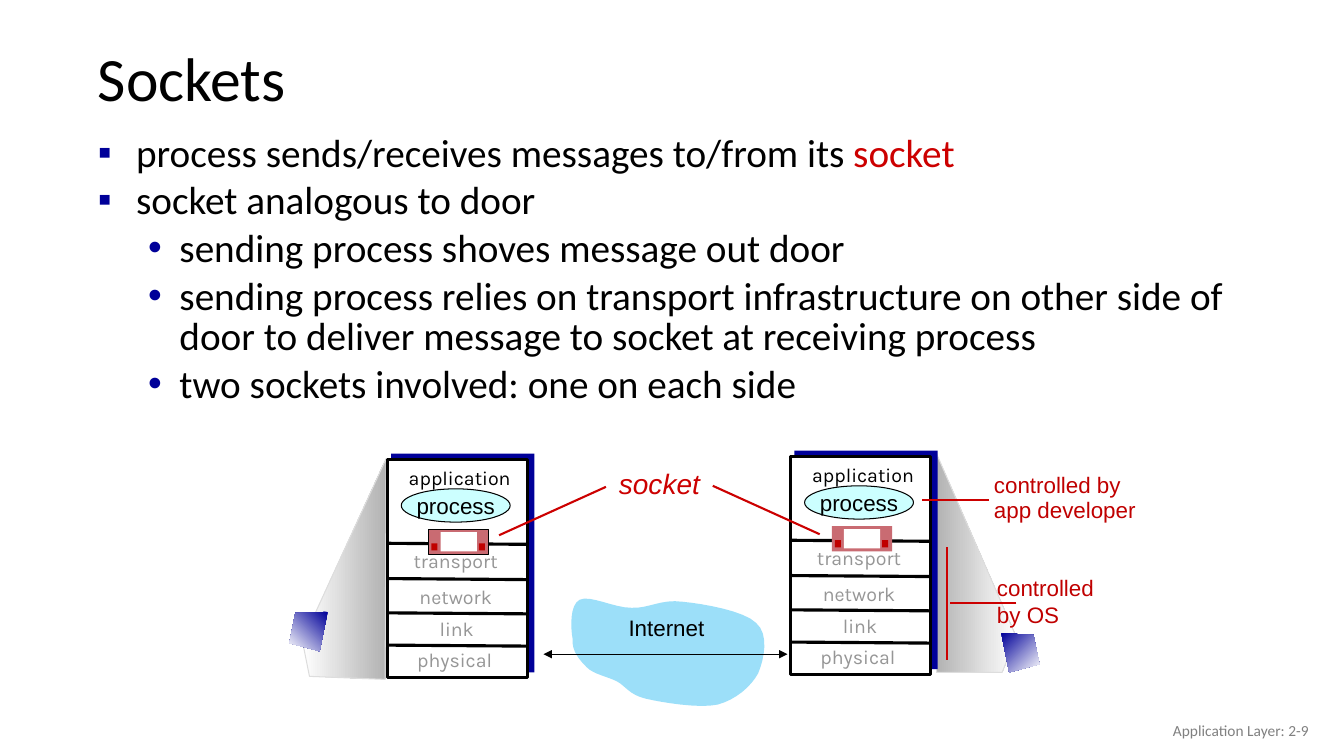
"""Build the Sockets slide: bullets above two hosts joined through the Internet."""
from lxml import etree
from pptx import Presentation
from pptx import util as u
from pptx.dml.color import RGBColor
from pptx.enum import shapes, text
from pptx.oxml.ns import qn

PX = 9144
BLACK, WHITE, GREY, NAVY = "000000", "FFFFFF", "969696", "000099"
RED, DARK_RED, ROSE = "CC0000", "C00000", "C96B72"
LEFT, CENTER, RIGHT = text.PP_ALIGN.LEFT, text.PP_ALIGN.CENTER, text.PP_ALIGN.RIGHT
RECTANGLE, OVAL = shapes.MSO_SHAPE.RECTANGLE, shapes.MSO_SHAPE.OVAL

BULLETS = [
    (0, [("process sends/receives messages to/from its ", BLACK), ("socket", RED)]),
    (0, [("socket analogous to door", BLACK)]),
    (1, [("sending process shoves message out door", BLACK)]),
    (1, [("sending process relies on transport infrastructure on other side of "
          "door to deliver message to socket at receiving process", BLACK)]),
    (1, [("two sockets involved: one on each side", BLACK)]),
]
BULLET_STYLES = [("▪", 38, 38), ("•", 81, 31)]
HOSTS = [(384, 456, BLACK), (784, 453, None)]
LAYERS = [("application", 0, -1, BLACK), ("transport", -4, 81, GREY),
          ("network", -4, 117, GREY), ("link", -3, 149, GREY), ("physical", -5, 180, GREY)]
LAYER_LINES = [83, 118, 152, 184]
BEAMS = [
    ([(300, 636), (383, 455), (382, 674), (307, 671)], WHITE, "B2B2B2"),
    ([(1008, 632), (928, 448), (929, 667), (994, 667)], "B2B2B2", WHITE),
]
LAPTOPS = [
    ([(325, 607), (293, 608), (287, 638), (317, 646)], 225),
    ([(993, 628), (1025, 630), (1031, 659), (1001, 667)], 315),
]
CLOUD_START = (568, 634)
CLOUD_CURVES = [
    ((566, 623), (565, 600), (575, 595)), ((585, 590), (609, 603), (626, 603)),
    ((643, 604), (656, 594), (677, 597)), ((698, 599), (738, 606), (750, 618)),
    ((763, 629), (758, 654), (752, 668)), ((745, 681), (730, 694), (712, 699)),
    ((693, 703), (657, 697), (640, 693)), ((624, 689), (621, 681), (612, 676)),
    ((602, 671), (589, 669), (582, 662)), ((575, 655), (567, 646), (568, 634)),
]
RED_LINES = [(981, 496, 914, 496), (939, 543, 939, 655), (1008, 598, 942, 598),
             (495, 531, 601, 483), (813, 530, 707, 482)]
NOTES = [
    ((979, 565, 116, 90), ["controlled", "by OS"], 16, DARK_RED, 1, False),
    ((976, 466, 161, 58), ["controlled by", "app developer"], 16, DARK_RED, 0.9, False),
    ((604, 462, 104, 40), ["socket"], 20, RED, 0.9, True),
]


def color(value):
    return RGBColor.from_string(value)


def px(*values):
    return [u.Emu(round(value * PX)) for value in values]


def add_run(paragraph, words, size, font, tint, italic=False):
    run = paragraph.add_run()
    run.text = words
    run.font.size, run.font.name, run.font.italic = u.Pt(size), font, italic
    run.font.color.rgb = color(tint)


def add_text(box, lines, size, font, tint, align=LEFT, spacing=1, wrap=False,
             italic=False, anchor=text.MSO_ANCHOR.TOP):
    label = slide.shapes.add_textbox(*px(*box))
    frame = label.text_frame
    frame.word_wrap, frame.vertical_anchor = wrap, anchor
    for index, line in enumerate(lines):
        paragraph = frame.add_paragraph() if index else frame.paragraphs[0]
        paragraph.alignment, paragraph.line_spacing = align, spacing
        add_run(paragraph, line, size, font, tint, italic)


def set_line(shape, tint, width):
    if tint:
        shape.line.color.rgb = color(tint)
        shape.line.width = u.Pt(width)
    else:
        shape.line.fill.background()


def add_box(parent, kind, box, fill, tint=None, width=0.75):
    shape = parent.add_shape(kind, *px(*box))
    shape.shadow.inherit = False
    shape.fill.solid()
    shape.fill.fore_color.rgb = color(fill)
    set_line(shape, tint, width)
    return shape


def add_outline(points, tint=None):
    scaled = [px(*point) for point in points]
    builder = slide.shapes.build_freeform(*scaled[0], scale=1.0)
    builder.add_line_segments(scaled[1:], close=True)
    shape = builder.convert_to_shape()
    shape.shadow.inherit = False
    set_line(shape, tint, 0.75)
    return shape


def add_gradient(shape, tints, angle):
    shape.fill.gradient()
    shape.fill.gradient_angle = angle
    for stop, tint in zip(shape.fill.gradient_stops, tints):
        stop.color.rgb = color(tint)


def add_line(ends, tint, width, arrows=False):
    line = slide.shapes.add_connector(shapes.MSO_CONNECTOR.STRAIGHT, *px(*ends))
    set_line(line, tint, width)
    if arrows:
        for end in ("a:headEnd", "a:tailEnd"):
            etree.SubElement(line.line._get_or_add_ln(), qn(end), type="triangle")
    etree.SubElement(line._element.spPr, qn("a:effectLst"))


def cloud_points(steps=8):
    points, start = [CLOUD_START], CLOUD_START
    for first, second, end in CLOUD_CURVES:
        for step in range(1, steps + 1):
            t = step / steps
            weights = ((1 - t) ** 3, 3 * t * (1 - t) ** 2, 3 * t * t * (1 - t), t ** 3)
            corners = (start, first, second, end)
            points.append(tuple(sum(w * corner[axis] for w, corner in zip(weights, corners))
                                for axis in (0, 1)))
        start = end
    return points[:-1]


def add_bullets(body):
    body.left, body.top, body.width, body.height = px(87, 129, 1199, 255)
    frame = body.text_frame
    frame.auto_size, frame.word_wrap = text.MSO_AUTO_SIZE.NONE, True
    for index, (level, runs) in enumerate(BULLETS):
        paragraph = frame.add_paragraph() if index else frame.paragraphs[0]
        paragraph.level, paragraph.line_spacing = level, 0.85
        paragraph.space_before = u.Pt(5.6 if index else 0)
        mark, margin, hanging = BULLET_STYLES[level]
        properties = paragraph._p.get_or_add_pPr()
        properties.set("marL", str(margin * PX))
        properties.set("indent", str(-hanging * PX))
        tint = etree.SubElement(properties, qn("a:buClr"))
        etree.SubElement(tint, qn("a:srgbClr"), val=NAVY)
        etree.SubElement(properties, qn("a:buFont"), typeface="Arial")
        etree.SubElement(properties, qn("a:buChar"), char=mark)
        for words, run_tint in runs:
            add_run(paragraph, words, 28, "Calibri", run_tint)


def add_host(x, y, socket_line):
    add_box(slide.shapes, RECTANGLE, (x + 4, y - 6, 142, 217), NAVY)
    add_box(slide.shapes, RECTANGLE, (x, y, 139, 216), WHITE, BLACK, 2.25)
    for dy in LAYER_LINES:
        add_line((x, y + dy, x + 139, y + dy + 1), BLACK, 2.25)
    for name, dx, dy, tint in LAYERS:
        add_text((x + dx, y + dy, 144, 36), [name], 14, "Karla", tint, CENTER, 1.1, True)
    process = add_box(slide.shapes, OVAL, (x + 14, y + 29, 108, 33), "CCFFFF", BLACK)
    process.text_frame.word_wrap = False
    process.text_frame.vertical_anchor = text.MSO_ANCHOR.MIDDLE
    paragraph = process.text_frame.paragraphs[0]
    paragraph.alignment = CENTER
    add_run(paragraph, "process", 16, "Arial", BLACK)
    socket = slide.shapes.add_group_shape().shapes
    add_box(socket, RECTANGLE, (x + 41, y + 69, 60, 25), ROSE, socket_line)
    add_box(socket, RECTANGLE, (x + 53, y + 72, 36, 19), WHITE)
    for dx in (44, 91):
        add_box(socket, RECTANGLE, (x + dx, y + 83, 6, 7), DARK_RED)


presentation = Presentation()
presentation.slide_width, presentation.slide_height = px(1333, 750)
slide = presentation.slides.add_slide(presentation.slide_layouts[1])
title, body = slide.placeholders
title.left, title.top, title.width, title.height = px(87, 32, 1150, 98)
title.text_frame.vertical_anchor = text.MSO_ANCHOR.MIDDLE
heading = title.text_frame.paragraphs[0]
heading.alignment, heading.line_spacing = LEFT, 0.9
add_run(heading, "Sockets", 44, "Calibri", BLACK)
add_bullets(body)

for points, start, end in BEAMS:
    add_gradient(add_outline(points, "DDDDDD"), (start, end), 0)
cloud = add_outline(cloud_points())
cloud.fill.solid()
cloud.fill.fore_color.rgb = color("9CDFF9")
add_text((613, 604, 96, 37), ["Internet"], 16, "Arial", BLACK, CENTER)
add_line((539, 649, 781, 649), BLACK, 0.75, arrows=True)
for host in HOSTS:
    add_host(*host)
for ends in RED_LINES:
    add_line(ends, RED, 1.5)
for box, lines, size, tint, spacing, italic in NOTES:
    add_text(box, lines, size, "Arial", tint, spacing=spacing, italic=italic)
for points, angle in LAPTOPS:
    add_gradient(add_outline(points), (NAVY, WHITE), angle)
add_text((1008, 705, 300, 40), ["Application Layer: 2-9"], 11, "Calibri", "808080",
         RIGHT, wrap=True, anchor=text.MSO_ANCHOR.MIDDLE)
presentation.save("out.pptx")
